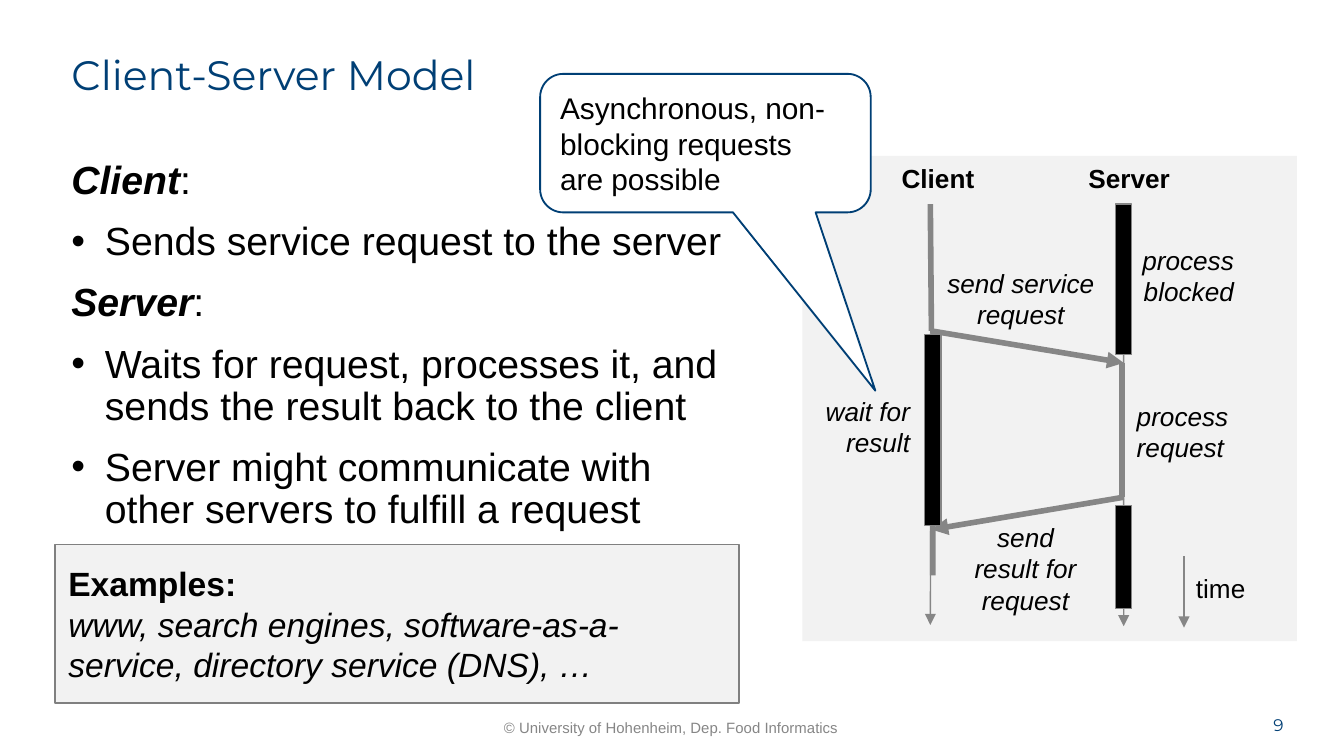
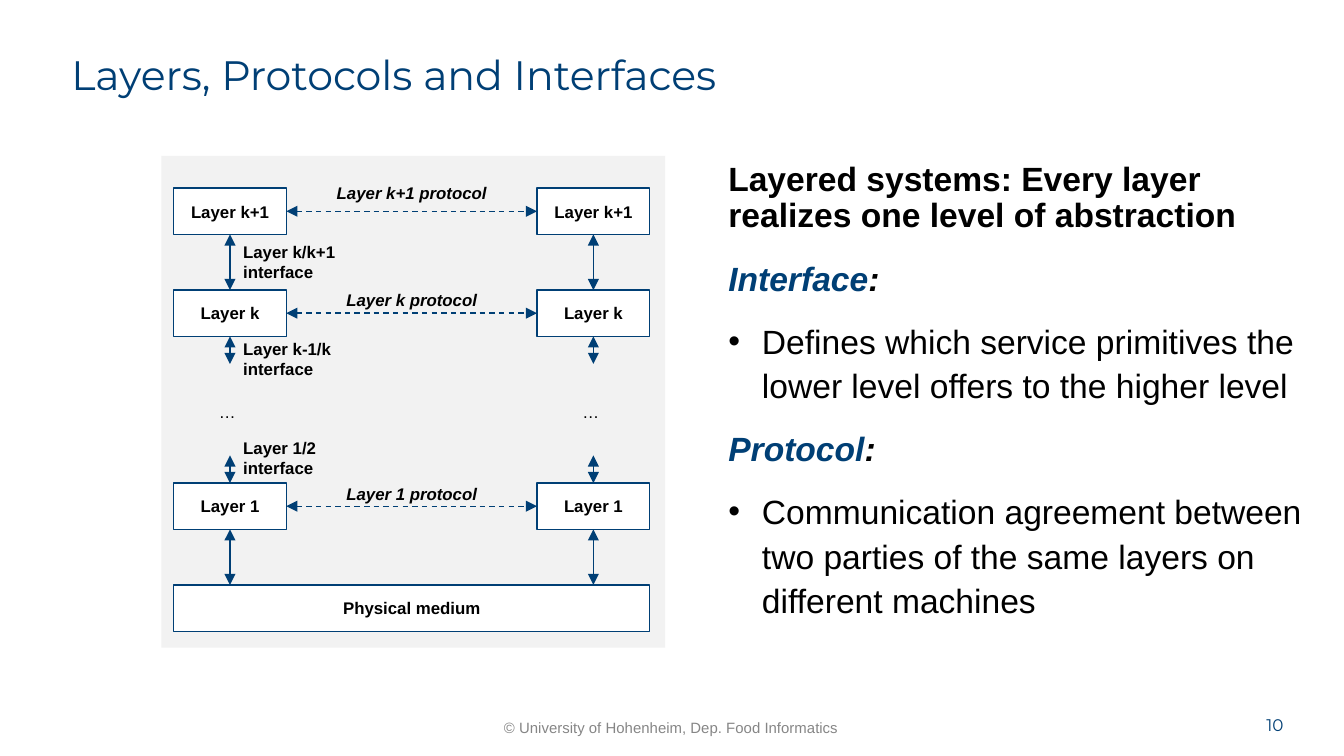
from lxml import etree
from pptx import Presentation
from pptx.dml.color import RGBColor
from pptx.enum import dml, shapes, text
from pptx.oxml import ns
from pptx.util import Pt

BLUE, BLACK, WHITE = "003F75", "000000", "FFFFFF"
GREY, EDGE, PALE = "868686", "808080", "F2F2F2"
LEFT, MID, RIGHT = text.PP_ALIGN.LEFT, text.PP_ALIGN.CENTER, text.PP_ALIGN.RIGHT
RECT = shapes.MSO_SHAPE.RECTANGLE


def rgb(code):
    return RGBColor.from_string(code)


def style(font, look, color):
    """Look holds b for bold and i for italic."""
    font.bold = "b" in look
    font.italic = "i" in look
    font.color.rgb = rgb(color)


def para(frame, runs, size, look="", color=BLACK, face="Arial",
         align=LEFT, lead=None, gap=0, dot=False):
    """Add a paragraph; runs is a string or a list of (text, look, color)."""
    first = not frame.text
    p = frame.paragraphs[0] if first else frame.add_paragraph()
    if dot:
        props = p._p.get_or_add_pPr()
        props.set("marL", str(Pt(18)))
        props.set("indent", str(-Pt(18)))
        etree.SubElement(props, ns.qn("a:buFont")).set("typeface", "Arial")
        etree.SubElement(props, ns.qn("a:buChar")).set("char", "•")
    p.alignment = align
    if lead:
        p.line_spacing = lead
    if gap and not first:
        p.space_before = Pt(gap)
    p.font.size, p.font.name = Pt(size), face
    if isinstance(runs, str):
        p.text = runs
        style(p.font, look, color)
        return
    for words, form, tint in runs:
        r = p.add_run()
        r.text = words
        style(r.font, form, tint)


def area(slide, x, y, w, h, pad=(7.2, 3.6), wrap=True):
    """Add an empty text box and return its frame."""
    frame = slide.shapes.add_textbox(Pt(x), Pt(y), Pt(w), Pt(h)).text_frame
    frame.word_wrap = wrap
    frame.margin_left = frame.margin_right = Pt(pad[0])
    frame.margin_top = frame.margin_bottom = Pt(pad[1])
    return frame


def label(slide, x, y, w, h, lines, size, look="", align=LEFT, wrap=False):
    frame = area(slide, x, y, w, h, wrap=wrap)
    for line in lines:
        para(frame, line, size, look, align=align)


def box(slide, x, y, w, h, fill, edge=None, width=0.75, kind=RECT):
    shape = slide.shapes.add_shape(kind, Pt(x), Pt(y), Pt(w), Pt(h))
    shape.shadow.inherit = False
    shape.fill.solid()
    shape.fill.fore_color.rgb = rgb(fill)
    if edge:
        shape.line.color.rgb = rgb(edge)
        shape.line.width = Pt(width)
    else:
        shape.line.fill.background()
    return shape


def link(slide, x1, y1, x2, y2, color, width=0.75, ends="", dash=False):
    """Draw a line; ends names its arrowheads: h at the start, t at the end."""
    line = slide.shapes.add_connector(
        shapes.MSO_CONNECTOR.STRAIGHT, Pt(x1), Pt(y1), Pt(x2), Pt(y2))
    line.line.color.rgb = rgb(color)
    line.line.width = Pt(width)
    if dash:
        line.line.dash_style = dml.MSO_LINE.DASH
    props = line._element.spPr
    for key, tag in (("h", "a:headEnd"), ("t", "a:tailEnd")):
        if key in ends:
            etree.SubElement(props.find(ns.qn("a:ln")), ns.qn(tag)).set("type", "triangle")
    etree.SubElement(props, ns.qn("a:effectLst"))
    return line


def page(deck, title, number):
    """Add a slide with its title, footer and page number."""
    slide = deck.slides.add_slide(deck.slide_layouts[6])
    para(area(slide, 66.2, 380.9, 586.8, 18.7, (9.4, 4.3)),
         "© University of Hohenheim, Dep. Food Informatics", 8,
         color=GREY, align=MID)
    para(area(slide, 650.9, 383, 36.7, 10.8, (0, 0)), str(number), 9,
         color=BLUE, face="Montserrat", align=RIGHT)
    para(area(slide, 38.2, 25.9, 648, 33.8, (0, 3.6)), title, 22,
         color=BLUE, face="Montserrat", lead=0.9)
    return slide


def model(deck):
    slide = page(deck, "Client-Server Model", 9)
    note = box(slide, 29.5, 291.6, 366.5, 85, PALE, EDGE).text_frame
    para(note, "Examples:", 18, "b")
    para(note, "www, search engines, software-as-a-service, "
         "directory service (DNS), …", 18, "i")

    body = area(slide, 38.2, 82.8, 351.4, 260, (0, 3.6))
    parts = (
        ("Client", ["Sends service request to the server"]),
        ("Server", ["Waits for request, processes it, and sends the result "
                    "back to the client",
                    "Server might communicate with other servers to fulfill "
                    "a request"]))
    for role, tasks in parts:
        para(body, [(role, "bi", BLACK), (":", "", BLACK)], 21, lead=0.9, gap=10)
        for task in tasks:
            para(body, task, 21, lead=0.9, gap=10, dot=True)

    box(slide, 429.8, 83.5, 265, 260, PALE)
    link(slide, 499, 113.8, 498.4, 334.8, GREY, ends="t")
    life = link(slide, 602, 109.4, 602, 335.5, GREY, ends="t")
    link(slide, 498.4, 109.4, 499, 177.2, GREY, 3)
    link(slide, 498.4, 177.2, 602, 194.4, GREY, 3, "t")
    link(slide, 601.2, 194.4, 601.2, 266.4, GREY, 3)
    link(slide, 602, 266.4, 499, 283.7, GREY, 3, "t")
    stub = link(slide, 499.7, 281.5, 499.7, 308.2, GREY, 3)
    link(slide, 634.3, 298.1, 634.3, 336.2, GREY, ends="t")

    top, _, wait = [box(slide, x, y, 8.64, h, BLACK, GREY) for x, y, h in (
        (597.6, 109.4, 80.6), (597.6, 270.7, 55.4), (495.4, 179.3, 102.2))]
    life.begin_connect(top, 0)
    stub.begin_connect(wait, 2)

    label(slide, 475.9, 83.5, 54, 24.5, ["Client"], 14, "b")
    label(slide, 576, 83.5, 58.3, 24.5, ["Server"], 14, "b")
    label(slide, 633.6, 303.1, 41, 24.5, ["time"], 14)
    for x, y, w, h, lines, align, wrap in (
            (481, 139.7, 131.8, 41, ["send service", "request"], MID, True),
            (601.9, 211, 67.7, 41, ["process", "request"], LEFT, False),
            (509.8, 275.8, 79.2, 58.3, ["send result for request"], MID, True),
            (434.9, 208.1, 59.8, 41, ["wait for", "result"], RIGHT, False),
            (604.1, 127.4, 64.1, 41, ["process", "blocked"], RIGHT, False)):
        label(slide, x, y, w, h, lines, 14, "i", align, wrap)

    bubble = box(slide, 289.4, 39.6, 177.1, 74.2, WHITE, BLUE, 1,
                 shapes.MSO_SHAPE.ROUNDED_RECTANGULAR_CALLOUT)
    for i, value in enumerate((0.514, 1.787, 0.167)):
        bubble.adjustments[i] = value
    para(bubble.text_frame, "Asynchronous, non-blocking requests \nare possible", 16)


def layers(deck):
    slide = page(deck, "Layers, Protocols and Interfaces", 10)
    box(slide, 86.4, 83.5, 270, 263.5, PALE)

    body = area(slide, 390.2, 83.5, 322.6, 260, (0, 3.6))
    para(body, "Layered systems: Every layer realizes one level of abstraction",
         18, "b", lead=0.9)
    for term, sense in (
            ("Interface", "Defines which service primitives the lower level "
                          "offers to the higher level"),
            ("Protocol", "Communication agreement between two parties of the "
                         "same layers on different machines")):
        para(body, [(term, "bi", BLUE), (":", "bi", BLACK)], 18, lead=1.1, gap=10)
        para(body, sense, 18, lead=1.1, gap=10, dot=True)

    def node(x, y, w, name):
        shape = box(slide, x, y, w, high, WHITE, BLUE)
        shape.text_frame.word_wrap = False
        para(shape.text_frame, name, 9, "b", align=MID)
        return shape

    left, right, wide, high, step, short = 93, 287.7, 60.4, 24.8, 54.6, 14.8
    upper, lower = 100.8, 258.8
    base = lower + step
    node(left, base, right + wide - left, "Physical medium")
    rows = (("Layer k+1", upper, 6.5), ("Layer k", upper + step, 3.5),
            ("Layer 1", lower, 3.3))
    stacks = [[node(x, y, wide, name) for name, y, _ in rows]
              for x in (left, right)]

    for x, (high_box, mid_box, low_box) in zip((left, right), stacks):
        mid = x + wide / 2
        full = link(slide, mid, upper + high, mid, upper + step, BLUE, ends="ht")
        full.begin_connect(high_box, 2)
        full.end_connect(mid_box, 0)
        for shape, side, y, end in (
                (mid_box, 2, upper + step + high, upper + step + high + short),
                (low_box, 0, lower, lower - short),
                (low_box, 2, lower + high, base)):
            link(slide, mid, y, mid, end, BLUE, ends="ht").begin_connect(shape, side)
        label(slide, mid - 13, 211.7, 23.8, 18, ["…"], 9)

    for (name, y, rise), a, b in zip(rows, *stacks):
        line = link(slide, left + wide, y + high / 2, right, y + high / 2,
                    BLUE, ends="ht", dash=True)
        line.begin_connect(a, 3)
        line.end_connect(b, 1)
        label(slide, left + wide, y - rise, right - left - wide, 18,
              [name + " protocol"], 9, "bi", MID, True)

    for name, y, w in (("k/k+1", 126, 64), ("k-1/k", 177.8, 62), ("1/2", 231.1, 54)):
        label(slide, left + wide / 2, y, w, 28.8,
              ["Layer " + name, "interface"], 9, "b")


def main():
    deck = Presentation()
    deck.slide_width, deck.slide_height = Pt(720), Pt(405)
    model(deck)
    layers(deck)
    deck.save("out.pptx")


if __name__ == "__main__":
    main()
